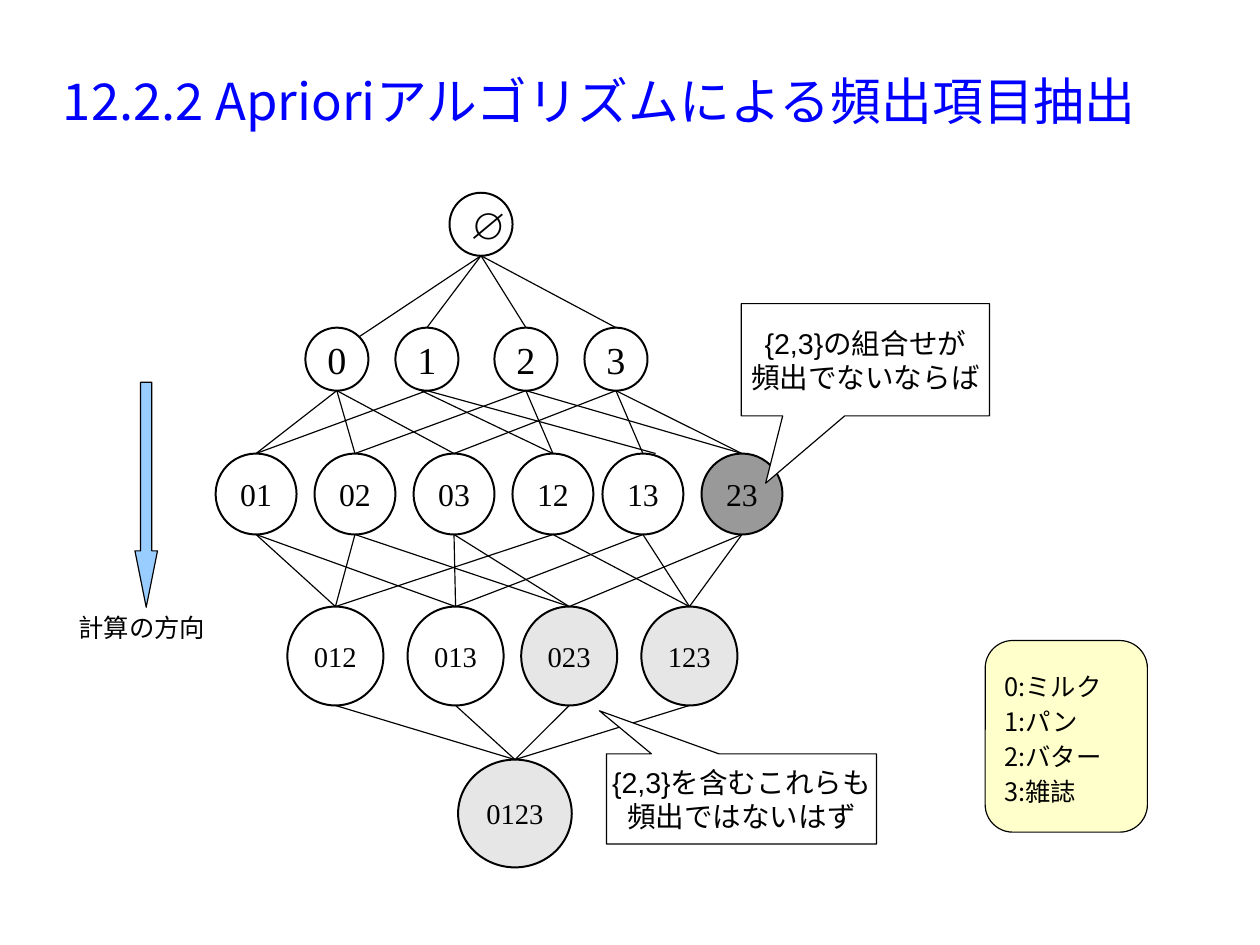
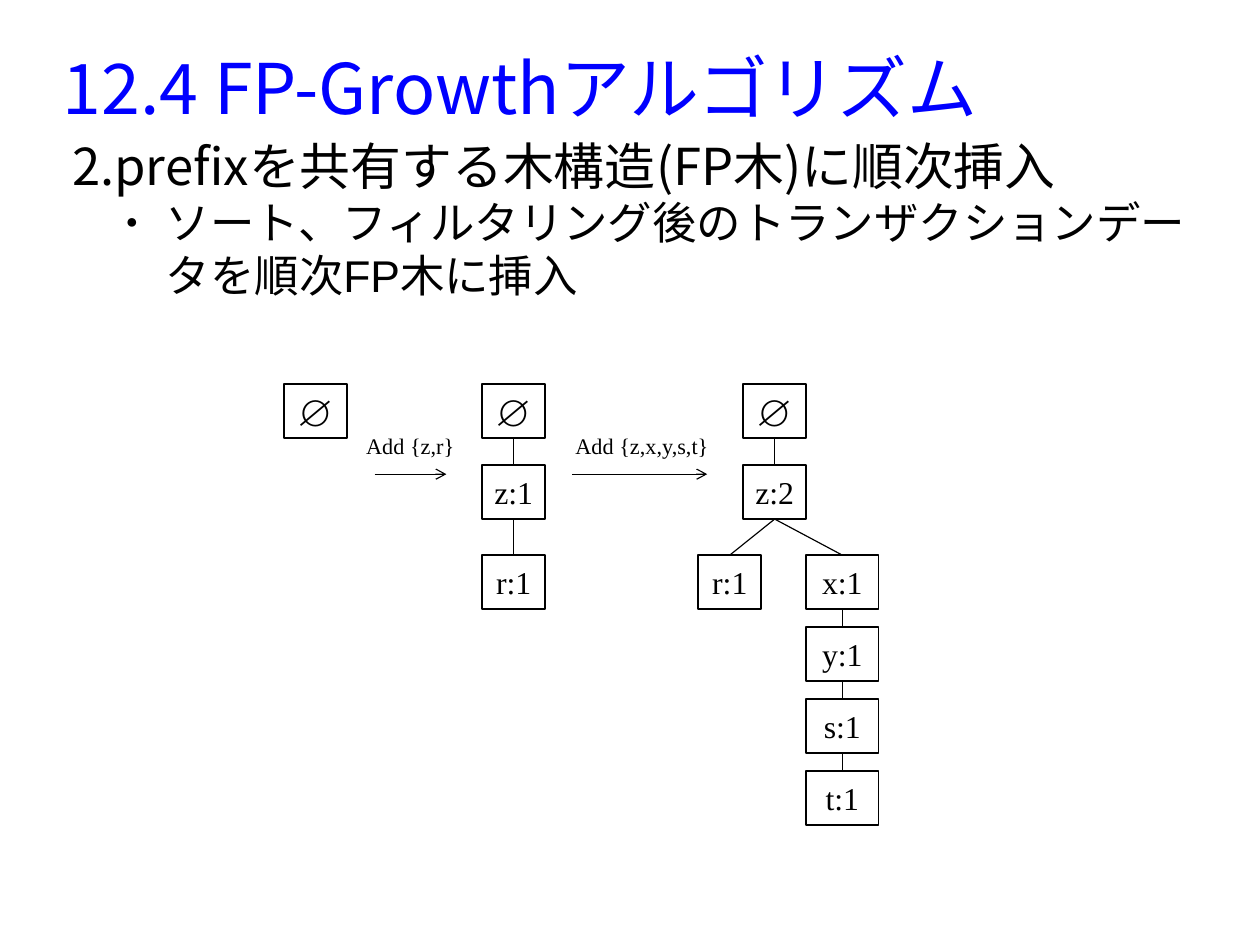
from lxml import etree
from pptx import Presentation
from pptx.dml.color import RGBColor
from pptx.enum import shapes, text
from pptx.oxml.ns import qn
from pptx.util import Pt

# Shared style
COLORS = {"title": "0000FF", "ink": "000000", "paper": "FFFFFF", "infrequent": "999999",
          "pruned": "E6E6E6", "legend": "FFFFCC", "direction": "99CCFF"}
SANS, SERIF, CJK = "Arial", "Times New Roman", "Noto Sans CJK JP"
SHAPE, ALIGN, ANCHOR = shapes.MSO_SHAPE, text.PP_ALIGN, text.MSO_ANCHOR
SLIDE_SIZE = (793.7, 595.28)
TITLE_LEFT, TITLE_WIDTH = 39.6, 714.3

# Itemset lattice: top, width, height, text size, {itemset: centre x}
LATTICE_TITLE = "12.2.2 Aprioriアルゴリズムによる頻出項目抽出"
LEVELS = [
    (121.4, 39.7, 39.7, 24, {"∅": 303}),
    (206.4, 39.7, 39.7, 24, {"0": 212.2, "1": 268.9, "2": 331.3, "3": 388}),
    (285.7, 51, 51, 20, {"01": 161.3, "02": 223.6, "03": 286, "12": 348.3,
                         "13": 405, "23": 467.4}),
    (382.1, 60.5, 62.3, 18, {"012": 211.3, "013": 287, "023": 358.6, "123": 434.3}),
    (478.5, 71.6, 67.9, 18, {"0123": 324.4}),
]
# Edges that do not run from bottom centre to top centre: (start shift, end shift)
EDGE_SHIFTS = {("∅", "0"): ((0, 0), (14, 5.8)),
               ("1", "12"): ((-3.5, 0), (0, 0)),
               ("1", "13"): ((0, 0), (8, 0))}
# Callouts: lines, box, pointer
CALLOUTS = [
    (["{2,3}の組合せが", "頻出でないならば"], (467, 191.3, 156.3, 70.7), (-0.402, 1.1)),
    (["{2,3}を含むこれらも", "頻出ではないはず"], (382, 474.9, 170.1, 56.8), (-0.526, -0.978)),
]
LEGEND = ["0:ミルク", "1:パン", "2:バター", "3:雑誌"]
DIRECTION = "計算の方向"

# FP tree growth
GROWTH_TITLE = "12.4 FP-Growthアルゴリズム"
STEP = "prefixを共有する木構造(FP木)に順次挿入"
STEP_DETAIL = "ソート、フィルタリング後のトランザクションデータを順次FP木に挿入"
ROW_TOPS = [242, 293] + [349.7 + 45.35 * i for i in range(4)]
NODE_HEIGHT, NODE_WIDTH, WIDE_NODE = 34, 39.7, 45.4
# Each tree: nodes as (label, centre x, row, width, index of parent)
TREES = [
    [("∅", 198.9, 0, NODE_WIDTH, None)],
    [("∅", 323.6, 0, NODE_WIDTH, None), ("z:1", 323.6, 1, NODE_WIDTH, 0),
     ("r:1", 323.6, 2, NODE_WIDTH, 1)],
    [("∅", 488, 0, NODE_WIDTH, None), ("z:2", 488, 1, NODE_WIDTH, 0),
     ("r:1", 459.7, 2, NODE_WIDTH, 1), ("x:1", 530.6, 2, WIDE_NODE, 1),
     ("y:1", 530.6, 3, WIDE_NODE, 3), ("s:1", 530.6, 4, WIDE_NODE, 4),
     ("t:1", 530.6, 5, WIDE_NODE, 5)],
]
# Insertions: label, label left, label width, arrow start x, arrow end x
INSERTIONS = [("Add {z,r}", 223.6, 69.8, 236, 281.2),
              ("Add {z,x,y,s,t}", 355.4, 97.9, 360.5, 445.5)]
LABEL_TOP, ARROW_Y = 268.9, 298.7


def rgb(name):
    return RGBColor.from_string(COLORS[name])


def points(*lengths):
    return [Pt(round(length, 2)) for length in lengths]


def style(paragraph, size, font, color="ink", align=ALIGN.LEFT, spacing=None):
    paragraph.alignment = align
    paragraph.space_before = Pt(0)
    if spacing:
        paragraph.line_spacing = spacing
    for run in paragraph.runs:
        run.font.size, run.font.name = Pt(size), font
        run.font.color.rgb = rgb(color)
        if font != SERIF:
            latin = run.font._element.find(qn("a:latin"))
            latin.addnext(etree.Element(qn("a:ea"), typeface=CJK))


def write(shape, lines, size, font, wrap=True, anchor=ANCHOR.MIDDLE, **options):
    frame = shape.text_frame
    frame.text = "\n".join(lines)
    frame.word_wrap, frame.vertical_anchor = wrap, anchor
    frame.auto_size = text.MSO_AUTO_SIZE.NONE
    for paragraph in frame.paragraphs:
        style(paragraph, size, font, **options)
    return frame


def no_margins(frame):
    frame.margin_left = frame.margin_right = frame.margin_top = frame.margin_bottom = 0


def place(shape, *box):
    shape.left, shape.top, shape.width, shape.height = points(*box)


def add_titled_slide(prs, layout, title, top, height, size):
    slide = prs.slides.add_slide(prs.slide_layouts[layout])
    place(slide.shapes.title, TITLE_LEFT, top, TITLE_WIDTH, height)
    no_margins(write(slide.shapes.title, [title], size, CJK, color="title"))
    return slide


def add_box(slide, preset, box, fill=None, line=1.0):
    shape = slide.shapes.add_shape(preset, *points(*box))
    shape.shadow.inherit = False
    if fill:
        shape.fill.solid()
        shape.fill.fore_color.rgb = rgb(fill)
    else:
        shape.fill.background()
    shape.line.color.rgb = rgb("ink")
    shape.line.width = Pt(line)
    return shape


def add_label(slide, label, box, size, font):
    write(slide.shapes.add_textbox(*points(*box)), [label], size, font,
          wrap=False, anchor=ANCHOR.TOP)


def add_line(slide, start=(0, 0), end=(0, 0), arrow=False):
    line = slide.shapes.add_connector(shapes.MSO_CONNECTOR.STRAIGHT, *points(*start, *end))
    line.line.color.rgb = rgb("ink")
    line.line.width = Pt(0.75)
    if arrow:
        etree.SubElement(line.line._get_or_add_ln(), qn("a:tailEnd"), type="arrow")
    etree.SubElement(line._element.spPr, qn("a:effectLst"))
    return line


def add_bullet(paragraph, left, hanging, *marks):
    props = paragraph._p.get_or_add_pPr()
    props.set("marL", str(Pt(left)))
    props.set("indent", str(Pt(-hanging)))
    for tag, attributes in marks:
        etree.SubElement(props, qn(tag), **attributes)


def itemset_fill(items):
    if items == "23":
        return "infrequent"
    return "pruned" if {"2", "3"} <= set(items) else None


def build_lattice(prs):
    slide = add_titled_slide(prs, 5, LATTICE_TITLE, 28.1, 70.6, 32)

    # Itemsets
    for top, width, height, size, itemsets in LEVELS:
        for items, x in itemsets.items():
            circle = add_box(slide, SHAPE.OVAL, (x - width / 2, top, width, height),
                             itemset_fill(items), 1.25)
            write(circle, [items], size, SERIF, wrap=len(items) < 4, align=ALIGN.CENTER)

    # Each itemset is joined to its supersets on the next level
    for upper, lower in zip(LEVELS, LEVELS[1:]):
        for items, x in upper[4].items():
            for superset, superset_x in lower[4].items():
                if set(items) - {"∅"} <= set(superset):
                    (dx, dy), (ex, ey) = EDGE_SHIFTS.get((items, superset), ((0, 0), (0, 0)))
                    add_line(slide, (x + dx, upper[0] + upper[2] + dy),
                             (superset_x + ex, lower[0] + ey))

    # Callouts
    for lines, box, pointer in CALLOUTS:
        callout = add_box(slide, SHAPE.RECTANGULAR_CALLOUT, box, "paper", 0)
        callout.adjustments[0], callout.adjustments[1] = pointer
        write(callout, lines, 18, SANS, wrap=False, align=ALIGN.CENTER, spacing=Pt(21.5))

    # Legend and direction of computation
    legend = add_box(slide, SHAPE.ROUNDED_RECTANGLE, (620.6, 403.5, 102.2, 120.7), "legend", 0)
    legend.adjustments[0] = 0.17
    write(legend, LEGEND, 16, CJK, spacing=Pt(22.1))
    arrow = add_box(slide, SHAPE.DOWN_ARROW, (85, 240.8, 14.2, 141.7), "direction", 0)
    arrow.adjustments[0], arrow.adjustments[1] = 0.5, 2.5
    add_label(slide, DIRECTION, (42.4, 382.3, 94.3, 31), 16, SANS)


def build_growth(prs):
    slide = add_titled_slide(prs, 1, GROWTH_TITLE, 21.6, 66.2, 44)

    # Step and its detail
    body = slide.placeholders[1]
    place(body, 36.8, 84.8, TITLE_WIDTH, 370.8)
    frame = write(body, [STEP, STEP_DETAIL], 32, CJK, anchor=ANCHOR.TOP)
    no_margins(frame)
    step, detail = frame.paragraphs
    detail.level = 1
    detail.line_spacing = Pt(33.4)
    for run in detail.runs:
        run.font.size, run.font.name = Pt(28), SANS
    add_bullet(step, 33.8, 25.2, ("a:buFont", {"typeface": CJK}),
               ("a:buAutoNum", {"type": "arabicPeriod", "startAt": "2"}))
    add_bullet(detail, 67.7, 25.2, ("a:buSzPct", {"val": "45000"}),
               ("a:buFont", {"typeface": SANS}), ("a:buChar", {"char": "●"}))

    # Trees
    for tree in TREES:
        nodes = []
        for label, x, row, width, parent in tree:
            node = add_box(slide, SHAPE.RECTANGLE,
                           (x - width / 2, ROW_TOPS[row], width, NODE_HEIGHT))
            write(node, [label], 24 if label == "∅" else 20, SERIF, wrap=False,
                  align=ALIGN.CENTER)
            nodes.append(node)
            if parent is not None:
                branch = add_line(slide)
                branch.begin_connect(nodes[parent], 2)
                branch.end_connect(node, 0)

    # Insertions
    for label, left, width, start, end in INSERTIONS:
        add_label(slide, label, (left, LABEL_TOP, width, 23.8), 14, SERIF)
        add_line(slide, (start, ARROW_Y), (end, ARROW_Y), arrow=True)


def main():
    prs = Presentation()
    prs.slide_width, prs.slide_height = points(*SLIDE_SIZE)
    build_lattice(prs)
    build_growth(prs)
    prs.save("out.pptx")


if __name__ == "__main__":
    main()
